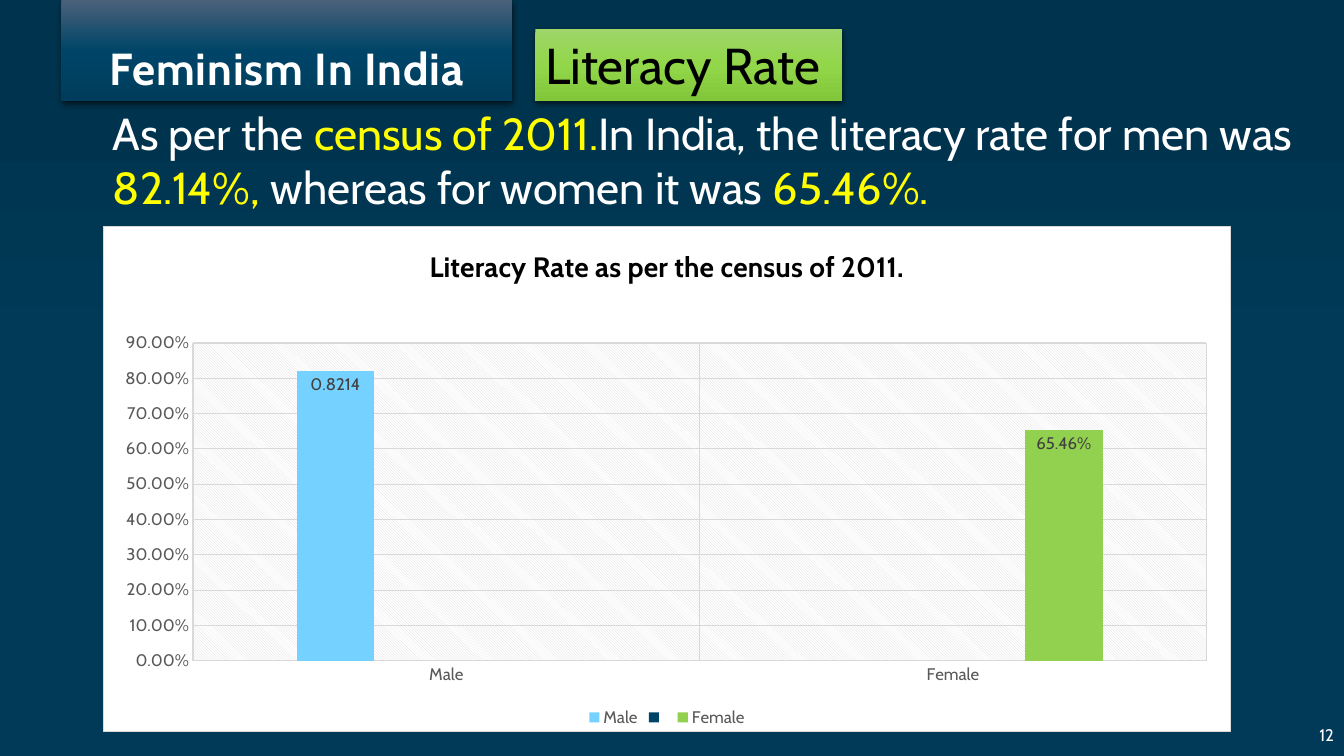
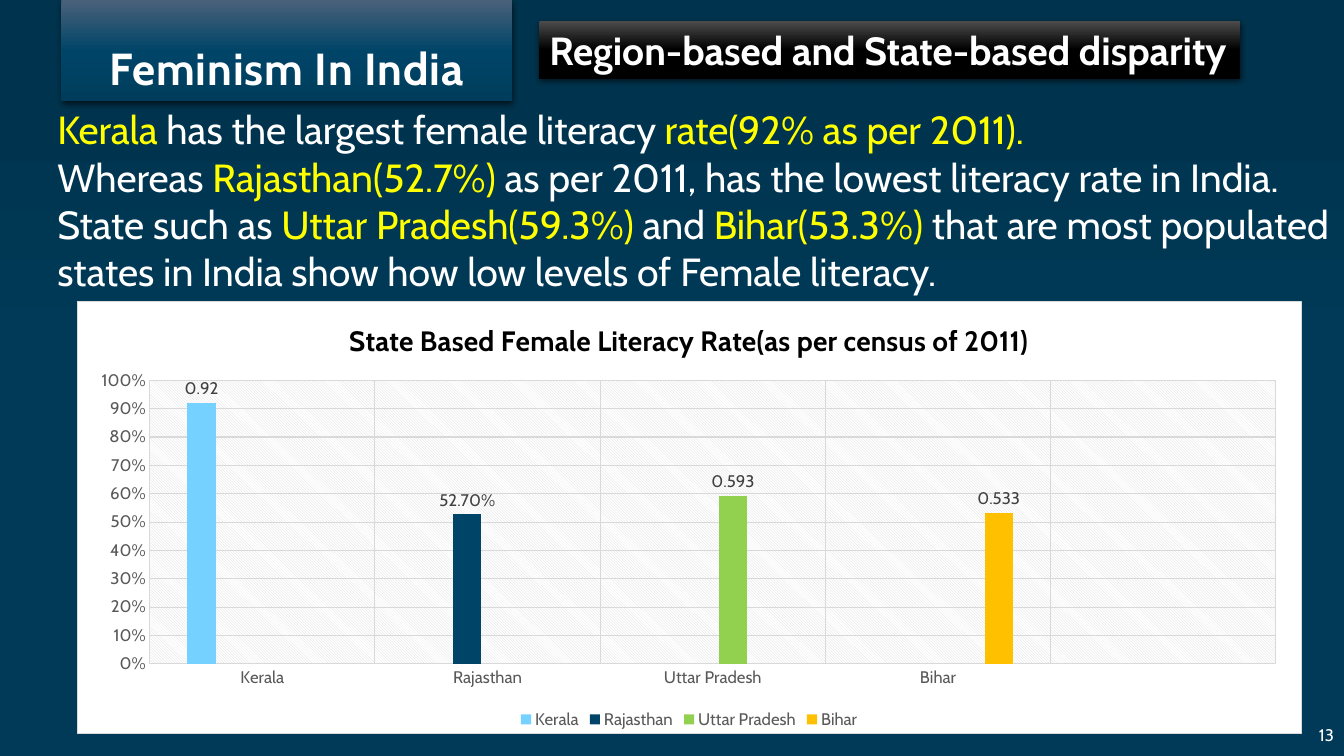
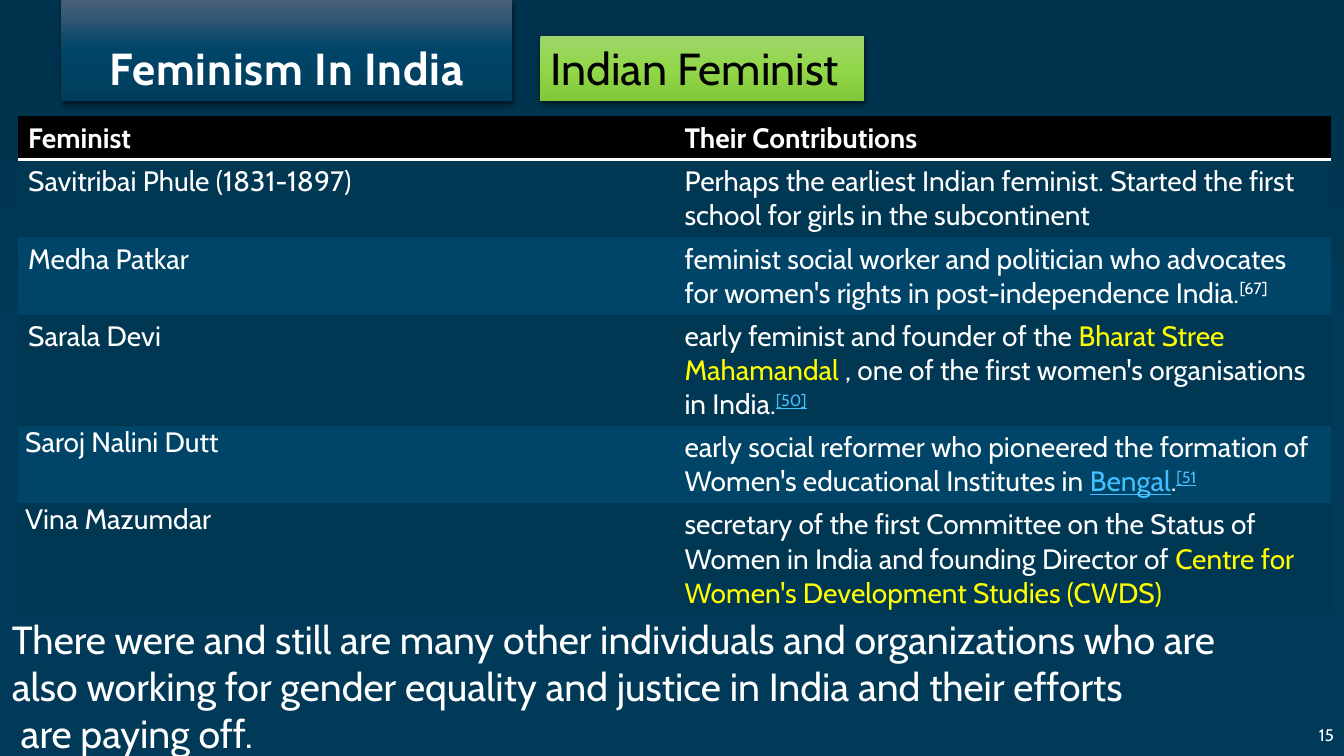
"""Build three slides on literacy and feminism in India."""
import pptx
import pptx.chart.data
import pptx.dml.color
import pptx.enum.chart
import pptx.enum.shapes
import pptx.enum.text
import pptx.oxml
import pptx.oxml.ns
import pptx.util

PX = 9144
FONT = "Cabin"
TITLE = "Feminism In India"
WHITE, YELLOW, BLACK, LINK = "FFFFFF", "FFFF00", "000000", "43C0FF"
GRID, AXIS_TEXT, LABEL_TEXT = "D9D9D9", "595959", "404040"
SERIES_COLORS = ["75D1FF", "004568", "92D050", "FFC000"]
BACKGROUND = [(15, "00344E"), (47, "003A58")]
BAND = [(0, "4B617A"), (50, "004568"), (100, "003D5C")]
GREEN = [(0, "9ED669"), (50, "92D64A"), (100, "82C63A")]
DARK = [(0, "4B4B4B"), (50, "000000"), (100, "000000")]
ROW_FILLS = ["003753", "004568"]
NO_TABLE_STYLE = "{2D5ABB26-0587-4C30-8999-92F81FD0307C}"

STYLES = {
    "plain": {"color": WHITE},
    "key": {"color": YELLOW},
    "dark": {"color": BLACK},
    "link": {"color": LINK, "underline": True},
    "note": {"color": WHITE, "raised": True},
    "notelink": {"color": LINK, "underline": True, "raised": True},
}

SLIDES = [
    {
        "number": "12",
        "label": {"text": "Literacy Rate", "box": (531, 29, 304, 71), "stops": GREEN,
                  "size": 36, "style": "dark", "bold": False},
        "body": {"box": (102, 100, 1203, 120), "size": 32, "paras": [
            [("As per the ", "plain"), ("census of 2011.", "key"),
             ("In India, the literacy rate for men was ", "plain"), ("82.14%, ", "key"),
             ("whereas for women it was ", "plain"), ("65.46%.", "key")],
        ]},
        "chart": {
            "title": "Literacy Rate as per the census of 2011.",
            "box": (102, 224, 1119, 502), "plot": (191, 340, 1006, 316),
            "cats": ["Male", "Female"], "top": 0.9, "axis_format": "0.00%",
            "label_at": "INSIDE_END",
            "series": [("Male", [0.8214, None], "General"),
                       (" ", [None, None], "0.00%"),
                       ("Female", [None, 0.6546], "0.00%")],
        },
    },
    {
        "number": "13",
        "label": {"text": "Region-based and State-based disparity", "box": (535, 21, 695, 57),
                  "stops": DARK, "size": 28, "style": "plain", "bold": True},
        "body": {"box": (47, 100, 1286, 199), "size": 28, "paras": [
            [("Kerala", "key"), (" has the largest female literacy ", "plain"),
             ("rate(92% as per 2011).", "key")],
            [("Whereas ", "plain"), ("Rajasthan(52.7%) ", "key"),
             ("as per 2011, has the lowest literacy rate in India.", "plain")],
            [("State such as ", "plain"), ("Uttar Pradesh(59.3%) ", "key"), ("and ", "plain"),
             ("Bihar(53.3%) ", "key"),
             ("that are most populated states in India show how low levels of Female literacy.",
              "plain")],
        ]},
        "chart": {
            "title": "State Based Female Literacy Rate(as per census of 2011)",
            "box": (76, 299, 1215, 429), "plot": (148, 377, 1118, 282),
            "cats": ["Kerala", "Rajasthan", "Uttar Pradesh", "Bihar", ""], "top": 1.0,
            "axis_format": "0%", "label_at": "OUTSIDE_END",
            "series": [("Kerala", [0.92, None, None, None, None], "General"),
                       ("Rajasthan", [None, 0.527, None, None, None], "0.00%"),
                       ("Uttar Pradesh", [None, None, 0.593, None, None], "General"),
                       ("Bihar", [None, None, None, 0.533, None], "General")],
        },
    },
    {
        "number": "15",
        "label": {"text": "Indian Feminist", "box": (536, 36, 321, 64), "stops": GREEN,
                  "size": 32, "style": "dark", "bold": False},
        "table": {
            "box": (18, 115, 1302, 492), "heights": [43, 76, 77, 110, 76, 110],
            "tight_rows": (4, 5),
            "rows": [
                ("Feminist", [("Their Contributions", "plain")]),
                ("Savitribai Phule (1831-1897)",
                 [("Perhaps the earliest Indian feminist. Started the first school for girls "
                   "in the subcontinent", "plain")]),
                ("Medha Patkar",
                 [("feminist social worker and politician who advocates for women's rights "
                   "in post-independence India.", "plain"), ("[67]", "note")]),
                ("Sarala Devi",
                 [("early feminist and founder of the ", "plain"),
                  ("Bharat Stree Mahamandal ", "key"),
                  (", one of the first women's organisations in India.", "plain"),
                  ("[50]", "notelink")]),
                ("Saroj Nalini Dutt",
                 [("early social reformer who pioneered the formation of Women's educational "
                   "Institutes in ", "plain"), ("Bengal", "link"), (".", "plain"),
                  ("[51", "notelink")]),
                ("Vina Mazumdar",
                 [("secretary of the first Committee on the Status of Women in India and "
                   "founding Director of ", "plain"),
                  ("Centre for Women's Development Studies (CWDS)", "key")]),
            ],
        },
        "body": {"box": (2, 605, 1303, 145), "size": 28, "paras": [
            [("There were and still are many other individuals and organizations who are",
              "plain")],
            [("also working for gender equality and justice in India and their efforts", "plain")],
            [(" are paying off.", "plain")],
        ]},
    },
]


def rgb(code):
    return pptx.dml.color.RGBColor.from_string(code)


def emu(box):
    return [v * PX for v in box]


def xml(text):
    head, tail = text.split(" ", 1) if " " in text.split(">", 1)[0] else text.split(">", 1)
    joint = " " if " " in text.split(">", 1)[0] else ">"
    return pptx.oxml.parse_xml(f"{head} {pptx.oxml.ns.nsdecls('a', 'c')}{joint}{tail}")


def find(parent, tag):
    return parent.find(".//" + pptx.oxml.ns.qn(tag))


def gradient(fill, parent, stops):
    fill.gradient()
    fill.gradient_angle = 270
    gs_list = find(parent, "a:gsLst")
    for gs in list(gs_list):
        gs_list.remove(gs)
    for pos, code in stops:
        gs_list.append(xml(f'<a:gs pos="{pos * 1000}"><a:srgbClr val="{code}"/></a:gs>'))


def raised_panel(sp, stops):
    gradient(sp.fill, sp.element.spPr, stops)
    sp.line.fill.background()
    sp.shadow.inherit = False
    find(sp.element.spPr, "a:effectLst").append(xml(
        '<a:outerShdw blurRad="57150" dist="19050" dir="5400000" algn="ctr" rotWithShape="0">'
        '<a:srgbClr val="000000"><a:alpha val="63000"/></a:srgbClr></a:outerShdw>'))


def set_font(font, size, color, bold=False):
    font.name = FONT
    font.size = pptx.util.Pt(size)
    font.bold = bold
    font.color.rgb = rgb(color)


def write(tf, paras, size, bold=False, align="LEFT"):
    for i, runs in enumerate(paras):
        p = tf.add_paragraph() if i else tf.paragraphs[0]
        p.alignment = getattr(pptx.enum.text.PP_ALIGN, align)
        for text, name in runs:
            style = STYLES[name]
            r = p.add_run()
            r.text = text
            set_font(r.font, size, style["color"], bold)
            if style.get("underline"):
                r.font.underline = True
            if style.get("raised"):
                r.font._element.set("baseline", "30000")


def add_text(s, box, paras, size, align="LEFT", anchor="TOP", wrap=True):
    tf = s.shapes.add_textbox(*emu(box)).text_frame
    tf.word_wrap = wrap
    tf.vertical_anchor = getattr(pptx.enum.text.MSO_ANCHOR, anchor)
    write(tf, paras, size, align=align)


def add_title(s):
    sp = s.shapes.title
    sp.left, sp.top, sp.width, sp.height = emu((61, 0, 447, 100))
    raised_panel(sp, BAND)
    tf = sp.text_frame
    tf.auto_size = pptx.enum.text.MSO_AUTO_SIZE.NONE
    tf.vertical_anchor = pptx.enum.text.MSO_ANCHOR.MIDDLE
    tf.margin_left, tf.margin_top, tf.margin_right, tf.margin_bottom = emu((16, 46, 16, 5))
    write(tf, [[(TITLE, "plain")]], 32, True, "CENTER")
    p = tf.paragraphs[0]
    p.line_spacing = 0.9
    p.runs[0].font._element.set("spc", "60")


def add_label(s, label):
    sp = s.shapes.add_shape(pptx.enum.shapes.MSO_SHAPE.RECTANGLE, *emu(label["box"]))
    raised_panel(sp, label["stops"])
    tf = sp.text_frame
    tf.word_wrap = False
    tf.vertical_anchor = pptx.enum.text.MSO_ANCHOR.TOP
    write(tf, [[(label["text"], label["style"])]], label["size"], label["bold"])


def style_axis(axis):
    axis.major_tick_mark = axis.minor_tick_mark = pptx.enum.chart.XL_TICK_MARK.NONE
    set_font(axis.tick_labels.font, 12, AXIS_TEXT)
    axis.has_major_gridlines = True
    for line in (axis.major_gridlines.format.line, axis.format.line):
        line.color.rgb = rgb(GRID)
        line.width = pptx.util.Pt(0.75)


def place_plot(chart, box, plot):
    x, y, w, h = box
    px, py, pw, ph = plot
    shares = {"x": (px - x) / w, "y": (py - y) / h, "w": pw / w, "h": ph / h}
    area = find(chart.element, "c:plotArea")
    layout = area.find(pptx.oxml.ns.qn("c:layout"))
    if layout is not None:
        area.remove(layout)
    modes = '<c:xMode val="edge"/><c:yMode val="edge"/>'
    parts = "".join(f'<c:{k} val="{v:.4f}"/>' for k, v in shares.items())
    area.insert(0, xml('<c:layout><c:manualLayout><c:layoutTarget val="inner"/>'
                       f'{modes}{parts}</c:manualLayout></c:layout>'))
    area.append(xml('<c:spPr><a:pattFill prst="ltDnDiag">'
                    f'<a:fgClr><a:srgbClr val="{GRID}"/></a:fgClr>'
                    f'<a:bgClr><a:srgbClr val="{WHITE}"/></a:bgClr></a:pattFill></c:spPr>'))
    find(chart.element, "c:chart").addnext(xml(
        f'<c:spPr><a:solidFill><a:srgbClr val="{WHITE}"/></a:solidFill><a:ln w="9525">'
        f'<a:solidFill><a:srgbClr val="{GRID}"/></a:solidFill></a:ln></c:spPr>'))


def add_chart(s, spec_data):
    data = pptx.chart.data.CategoryChartData()
    data.categories = spec_data["cats"]
    for name, values, number_format in spec_data["series"]:
        data.add_series(name, values, number_format)
    chart = s.shapes.add_chart(pptx.enum.chart.XL_CHART_TYPE.COLUMN_CLUSTERED,
                               *emu(spec_data["box"]), data).chart
    set_font(chart.font, 10, BLACK)
    chart.has_title = True
    r = chart.chart_title.text_frame.paragraphs[0].add_run()
    r.text = spec_data["title"]
    set_font(r.font, 20, BLACK, True)
    chart.has_legend = True
    chart.legend.position = pptx.enum.chart.XL_LEGEND_POSITION.BOTTOM
    chart.legend.include_in_layout = False
    set_font(chart.legend.font, 12, AXIS_TEXT)

    style_axis(chart.category_axis)
    axis = chart.value_axis
    style_axis(axis)
    axis.format.line.fill.background()
    axis.minimum_scale, axis.maximum_scale, axis.major_unit = 0, spec_data["top"], 0.1
    axis.tick_labels.number_format = spec_data["axis_format"]
    axis.tick_labels.number_format_is_linked = False

    bars = chart.plots[0]
    bars.vary_by_categories = False
    bars.gap_width, bars.overlap = 267, -43
    for series, color, (_, _, number_format) in zip(bars.series, SERIES_COLORS,
                                                    spec_data["series"]):
        series.invert_if_negative = False
        series.format.fill.solid()
        series.format.fill.fore_color.rgb = rgb(color)
        labels = series.data_labels
        labels.show_value = True
        labels.number_format = number_format
        labels.number_format_is_linked = False
        labels.position = getattr(pptx.enum.chart.XL_LABEL_POSITION, spec_data["label_at"])
        set_font(labels.font, 12, LABEL_TEXT)
    place_plot(chart, spec_data["box"], spec_data["plot"])


def add_table(s, content):
    rows = content["rows"]
    table = s.shapes.add_table(len(rows), 2, *emu(content["box"])).table
    find(table._tbl, "a:tableStyleId").text = NO_TABLE_STYLE
    for i, (name, contribution) in enumerate(rows):
        table.rows[i].height = content["heights"][i] * PX
        for j, runs in enumerate(([(name, "plain")], contribution)):
            cell = table.cell(i, j)
            cell.fill.solid()
            cell.fill.fore_color.rgb = rgb(ROW_FILLS[(i - 1) % 2] if i else BLACK)
            write(cell.text_frame, [runs], 20, bold=i == 0)
            if i == 0:
                cell._tc.get_or_add_tcPr().insert(0, xml(
                    '<a:lnB w="25400"><a:solidFill>'
                    f'<a:srgbClr val="{WHITE}"/></a:solidFill></a:lnB>'))
            if j == 0 and i in content["tight_rows"]:
                cell.margin_left = cell.margin_right = 7 * PX
                cell.margin_top = cell.margin_bottom = 0


def main():
    prs = pptx.Presentation()
    prs.slide_width, prs.slide_height = emu((1333, 750))
    master = prs.slide_master
    gradient(master.background.fill, master.element, BACKGROUND)
    for content in SLIDES:
        s = prs.slides.add_slide(prs.slide_layouts[5])
        add_title(s)
        add_text(s, (1276, 709, 57, 40), [[(content["number"], "plain")]], 12,
                 "RIGHT", "MIDDLE", False)
        add_label(s, content["label"])
        if "chart" in content:
            add_chart(s, content["chart"])
        if "table" in content:
            add_table(s, content["table"])
        body = content["body"]
        add_text(s, body["box"], body["paras"], body["size"])
    prs.save("out.pptx")


if __name__ == "__main__":
    main()
